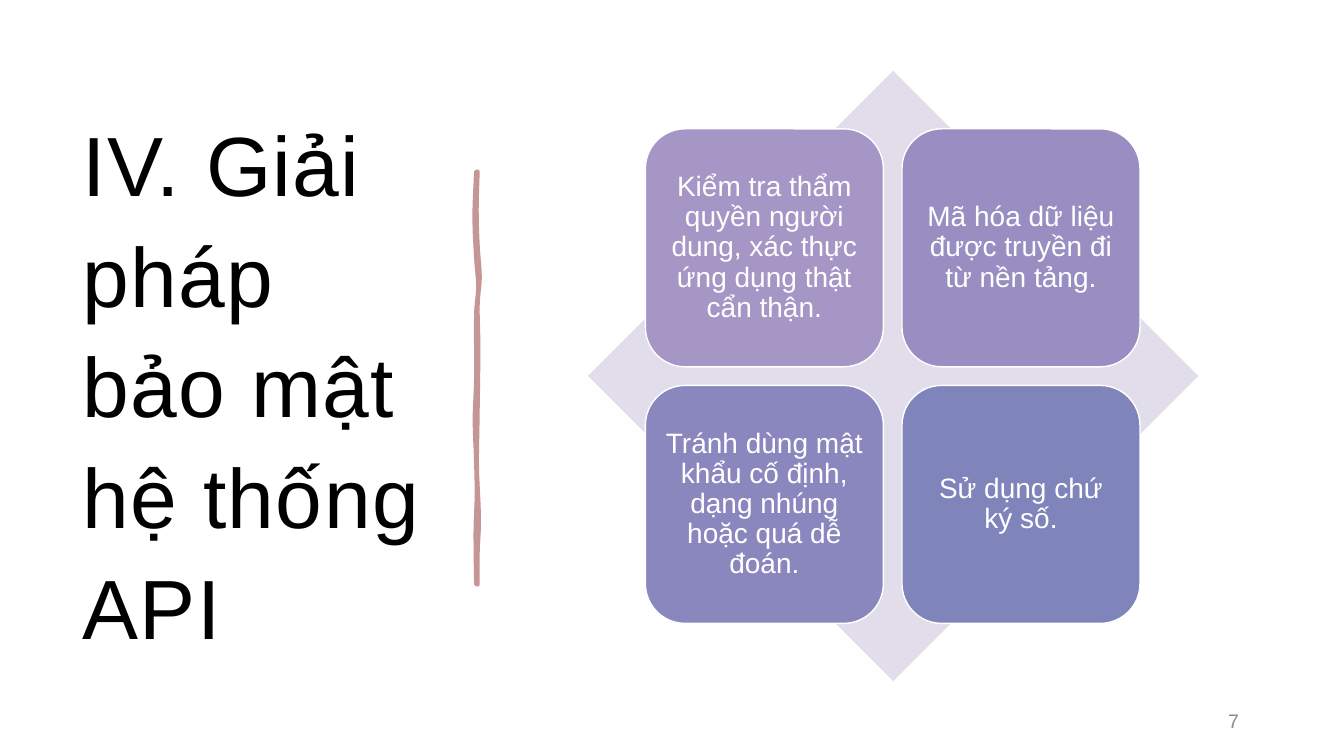
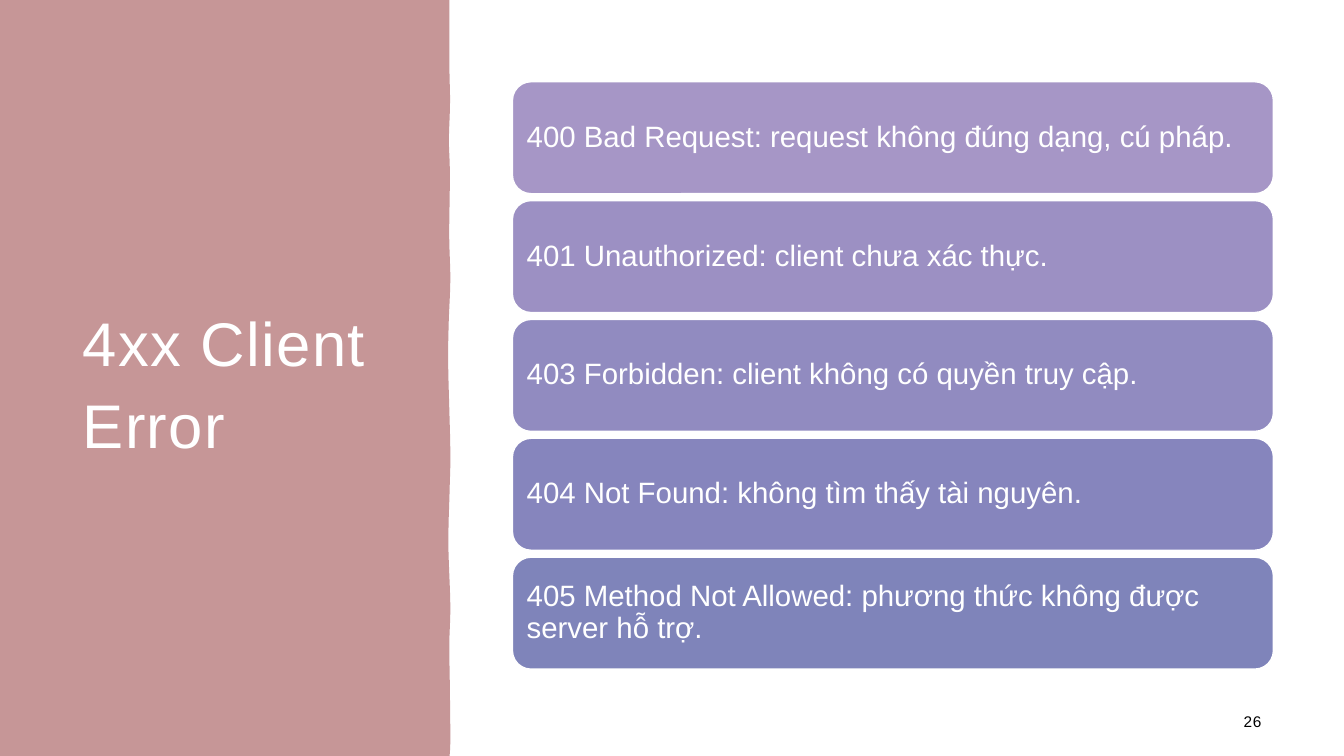
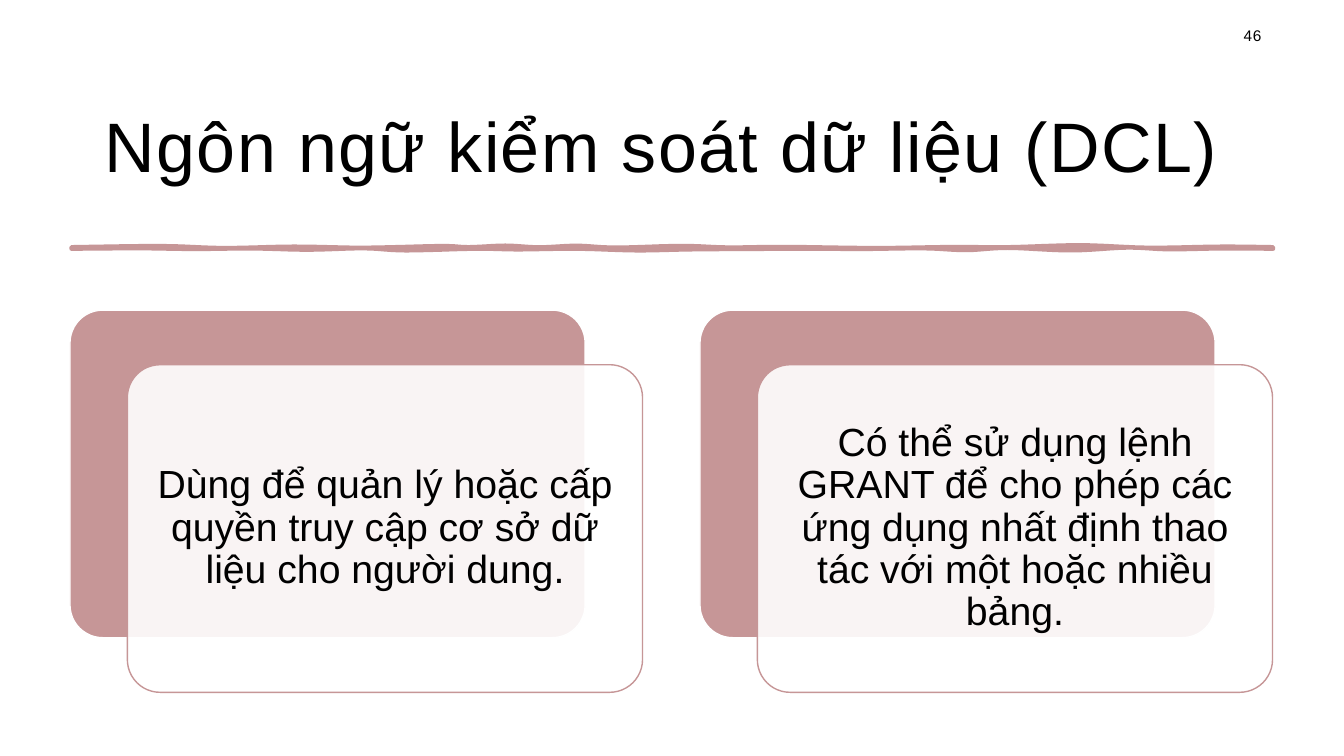
from lxml.etree import SubElement
from pptx import Presentation
from pptx.dml.color import RGBColor
from pptx.enum.shapes import MSO_SHAPE
from pptx.enum.text import MSO_ANCHOR, PP_ALIGN
from pptx.oxml.ns import qn
from pptx.util import Pt

FONT = "Arial"
ROSE, WHITE, BLACK, GREY, LILAC = "C69697", "FFFFFF", "000000", "8C8C8C", "E1DDEA"
WIDE, HIGH = 960, 540
EDGE = 50  # left and top margin
LEFT, MID, RIGHT = PP_ALIGN.LEFT, PP_ALIGN.CENTER, PP_ALIGN.RIGHT


def rgb(code):
    return RGBColor.from_string(code)


def write(shape, text, size, color, align, lead, pads, track=0):
    """Fill the shape's frame with one paragraph; track is letter spacing in points."""
    frame = shape.text_frame
    frame.word_wrap = True
    frame.vertical_anchor = MSO_ANCHOR.MIDDLE
    frame.margin_left, frame.margin_top, frame.margin_right, frame.margin_bottom = map(Pt, pads)
    para = frame.paragraphs[0]
    para.text = text
    para.alignment = align
    para.line_spacing = lead
    font = para.font
    font.name, font.size = FONT, Pt(size)
    font.color.rgb = rgb(color)
    if track:
        for run in para.runs:
            run._r.get_or_add_rPr().set("spc", str(int(track * 100)))


def label(slide, box, text, size, color, align, lead, track):
    shape = slide.shapes.add_textbox(*map(Pt, box))
    write(shape, text, size, color, align, lead, (9, 9, 9, 7.2), track)


def title(slide, text, size, width, height=440, color=BLACK, align=LEFT, lead=1.1):
    label(slide, (EDGE, EDGE, width, height), text, size, color, align, lead, 1)


def number(slide, text, left=766, top=500.5, width=144, size=11, color=BLACK):
    label(slide, (left, top, width, 29), text, size, color, RIGHT, 0.9, 0.4)


def paint(shape, fill, line=None, weight=1):
    shape.shadow.inherit = False
    shape.fill.solid()
    shape.fill.fore_color.rgb = rgb(fill)
    if line:
        shape.line.color.rgb = rgb(line)
        shape.line.width = Pt(weight)
    else:
        shape.line.fill.background()


def panel(slide, box, fill, line=WHITE, kind=MSO_SHAPE.ROUNDED_RECTANGLE):
    shape = slide.shapes.add_shape(kind, *map(Pt, box))
    paint(shape, fill, line)
    return shape


def fade(shape, alpha):
    """Set the fill's opacity in percent."""
    color = shape._element.spPr.find(qn("a:solidFill"))[0]
    SubElement(color, qn("a:alpha")).set("val", str(alpha * 1000))


def smooth(knots, steps=6):
    """Return points of a Catmull-Rom curve through the knots."""
    ends = [knots[0], *knots, knots[-1]]
    curve = [knots[0]]
    for a, b, c, d in zip(ends, ends[1:], ends[2:], ends[3:]):
        for step in range(1, steps + 1):
            t = step / steps
            curve.append(tuple(
                q + t / 2 * (r - p + t * (2 * p - 5 * q + 4 * r - s + t * (3 * q - p - 3 * r + s)))
                for p, q, r, s in zip(a, b, c, d)))
    return curve


def outline(slide, points, line=None):
    start, *rest = [(Pt(x), Pt(y)) for x, y in points]
    pen = slide.shapes.build_freeform(*start)
    pen.add_line_segments(rest, close=True)
    paint(pen.convert_to_shape(), ROSE, line, 2.75)


def brush(slide, near, far):
    """Draw a hand-made stroke between two wavy edges."""
    outline(slide, smooth(near) + smooth(far)[::-1], ROSE)


def matrix(slide):
    title(slide, "IV. Giải pháp bảo mật hệ thống API", 60, 269)
    brush(slide,
          [(340, 122.5), (338.8, 155), (340, 184), (341.5, 205), (340, 225), (340, 270),
           (339, 300), (340, 330), (340.4, 355), (339.6, 380), (340, 417.5)],
          [(341.3, 122.5), (340.6, 150), (341.3, 175), (342.8, 198), (341.3, 218), (341.8, 250),
           (341.2, 300), (340.8, 333), (342.2, 370), (341.3, 395), (341.3, 417.5)])
    panel(slide, (420, 50.5, 436, 436), LILAC, None, MSO_SHAPE.DIAMOND)
    tiles = [
        ("A696C6", "Kiểm tra thẩm quyền người dung, xác thực ứng dụng thật cẩn thận."),
        ("988EC2", "Mã hóa dữ liệu được truyền đi từ nền tảng."),
        ("8A87BE", "Tránh dùng mật khẩu cố định, dạng nhúng hoặc quá dễ đoán."),
        ("7F84BA", "Sử dụng chứ ký số."),
    ]
    side, pitch = 170, 183.3
    for i, (fill, text) in enumerate(tiles):
        row, col = divmod(i, 2)
        tile = panel(slide, (461 + col * pitch, 92 + row * pitch, side, side), fill)
        write(tile, text, 20, WHITE, MID, 0.9, [6] * 4)
    number(slide, "7", left=678, width=216, size=14, color=GREY)


def errors(slide):
    side = [(321, 0), (321, 45), (321.5, 73), (320.7, 100), (321.4, 125), (320.9, 168),
            (321.7, 200), (320.5, 232), (320.2, 262), (321.7, 321), (321.2, 350),
            (320.3, 388), (321.7, 432), (321, 460), (321.4, 493), (321.7, 528), (321.2, HIGH)]
    outline(slide, [(0, 0), *smooth(side), (0, HIGH)])
    title(slide, "4xx Client Error", 44, 244, color=WHITE)
    number(slide, "26")
    bars = [
        ("A696C6", "400 Bad Request: request không đúng dạng, cú pháp."),
        ("9C90C3", "401 Unauthorized: client chưa xác thực."),
        ("918BC0", "403 Forbidden: client không có quyền truy cập."),
        ("8685BD", "404 Not Found: không tìm thấy tài nguyên."),
        ("7F84BA", "405 Method Not Allowed: phương thức không được server hỗ trợ."),
    ]
    for i, (fill, text) in enumerate(bars):
        bar = panel(slide, (366, 58.4 + i * 84.9, 543.6, 80), fill)
        write(bar, text, 21, WHITE, LEFT, 0.9, [6.3] * 4)


def control(slide):
    title(slide, "Ngôn ngữ kiểm soát dữ liệu (DCL) ", 50, 860, 104, align=MID, lead=1)
    number(slide, "46", top=11)
    brush(slide,
          [(51, 176.4), (115, 175.6), (160, 177), (210, 176), (260, 176.8), (315, 175.6),
           (335, 176.4), (361, 175.3), (385, 176.5), (412, 175.4), (440, 176.7), (487, 175.5),
           (520, 176.6), (560, 176.2), (625, 177), (680, 176.3), (721, 176.4), (772, 175),
           (820, 176.8), (873, 176), (909.5, 176.4)],
          [(51, 177.8), (100, 177.5), (140, 178), (180, 177.6), (220, 178.5), (260, 177.5),
           (290, 179), (340, 177.8), (370, 178.3), (412, 177.8), (455, 179), (500, 178.2),
           (580, 177.8), (615, 178), (660, 177.5), (690, 178.8), (720, 177.2), (765, 179),
           (805, 177), (835, 178.2), (873, 177.6), (909.5, 177.8)])
    cards = [
        "Dùng để quản lý hoặc cấp quyền truy cập cơ sở dữ liệu cho người dung.",
        "Có thể sử dụng lệnh GRANT để cho phép các ứng dụng nhất định thao tác với một hoặc "
        "nhiều bảng.",
    ]
    width, height = 368, 234
    for i, text in enumerate(cards):
        left, top = EDGE + i * 450, 221.5
        back = panel(slide, (left, top, width, height), ROSE)
        front = panel(slide, (left + 41, top + 39, width, height), WHITE, ROSE)
        for card in (back, front):
            card.adjustments[0] = 0.1
        fade(front, 90)
        write(front, text, 28, BLACK, MID, 0.9, [8.4] * 4)


def main():
    deck = Presentation()
    deck.slide_width, deck.slide_height = Pt(WIDE), Pt(HIGH)
    for build in (matrix, errors, control):
        build(deck.slides.add_slide(deck.slide_layouts[6]))
    deck.save("out.pptx")


if __name__ == "__main__":
    main()
